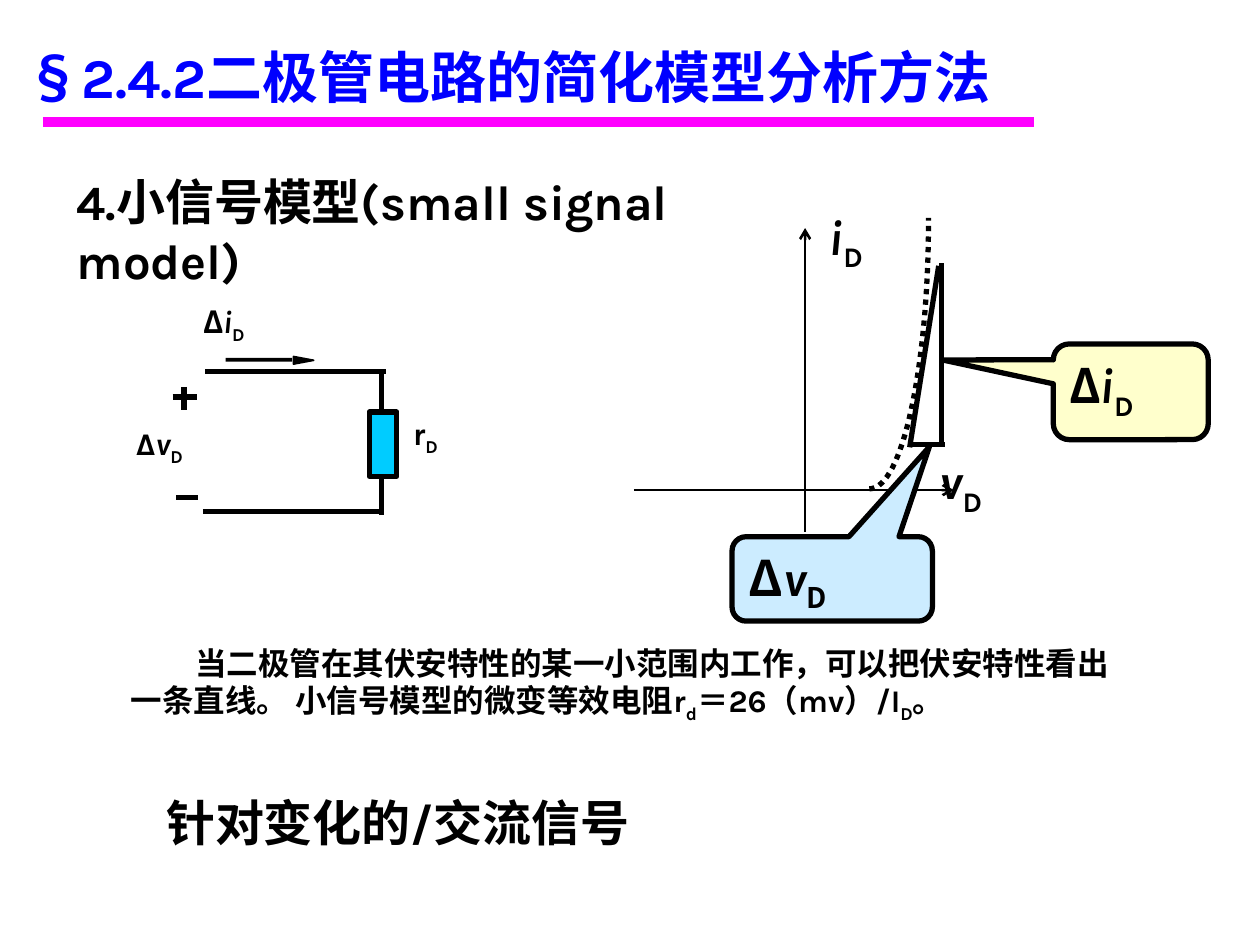
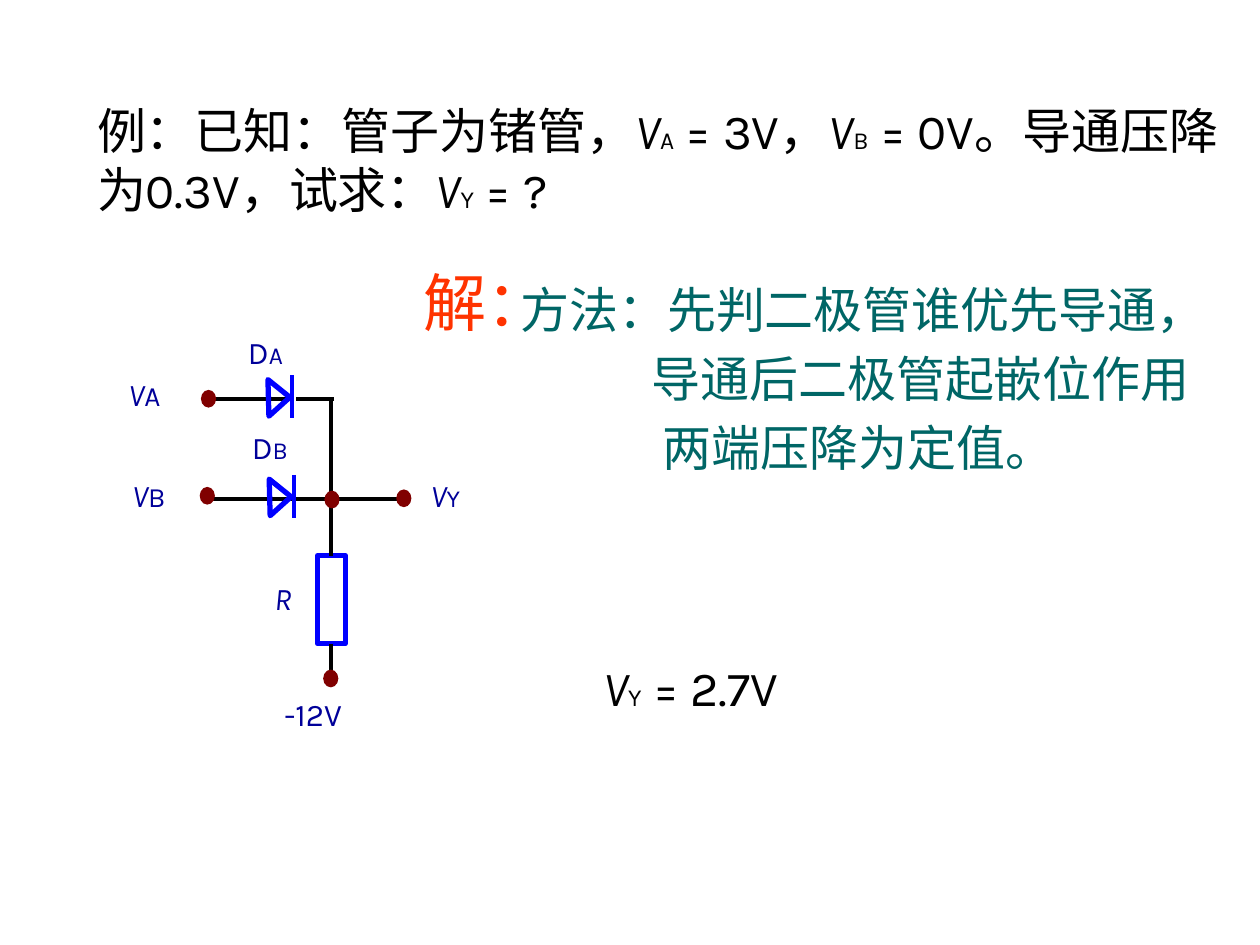
from lxml.etree import SubElement
from pptx import Presentation
from pptx.dml.color import RGBColor
from pptx.enum.dml import MSO_LINE_DASH_STYLE as Dash
from pptx.enum.shapes import MSO_CONNECTOR as Link, MSO_SHAPE as Kind
from pptx.enum.text import MSO_ANCHOR as Anchor, MSO_AUTO_SIZE as Auto, PP_ALIGN as Align
from pptx.oxml.ns import qn
from pptx.util import Inches, Pt

BLACK = RGBColor(0x00, 0x00, 0x00)
WHITE = RGBColor(0xFF, 0xFF, 0xFF)
BLUE = RGBColor(0x00, 0x00, 0xFF)
NAVY = RGBColor(0x00, 0x00, 0x99)
TEAL = RGBColor(0x00, 0x66, 0x66)
RED = RGBColor(0xFF, 0x33, 0x00)
PINK = RGBColor(0xFF, 0x00, 0xFF)
MAROON = RGBColor(0x80, 0x00, 0x00)
CYAN = RGBColor(0x00, 0xCC, 0xFF)
SKY = RGBColor(0xCC, 0xEC, 0xFF)
CREAM = RGBColor(0xFF, 0xFF, 0xCC)

LATIN, HAN, MONO = "Karla", "Noto Sans CJK SC", "Noto Sans Mono"
PLAIN = {"name": LATIN, "size": 28, "color": BLACK, "bold": False, "italic": False}
BOLD = PLAIN | {"bold": True}
SMALL = BOLD | {"size": 18}
TITLE = BOLD | {"size": 32, "color": BLUE}
METHOD = PLAIN | {"color": TEAL}
LABEL = PLAIN | {"size": 18, "color": NAVY}
SLANT = {"italic": True}
SUB = {"sub": True}
TINY = {"size": 14}


def box(*edges):
    return [Inches(n) for n in edges]


def add_run(para, text, form):
    run = para.add_run()
    run.text = text
    for key, value in form.items():
        if key == "color":
            run.font.color.rgb = value
        elif key == "size":
            run.font.size = Pt(value)
        elif key != "sub":
            setattr(run.font, key, value)
    props = run._r.get_or_add_rPr()
    SubElement(props, qn("a:ea")).set("typeface", HAN)
    if form.get("sub"):
        props.set("baseline", "-25000")


def write(shape, lines, base, anchor=Anchor.TOP):
    frame = shape.text_frame
    form = {"word_wrap": True, "auto_size": Auto.NONE, "vertical_anchor": anchor}
    for key, value in form.items():
        setattr(frame, key, value)
    for i, runs in enumerate(lines):
        para = frame.add_paragraph() if i else frame.paragraphs[0]
        para.alignment = Align.LEFT
        for text, style in runs:
            add_run(para, text, base | style)
    return frame


def place(shape, area):
    for key, value in zip(("left", "top", "width", "height"), box(*area)):
        setattr(shape, key, value)
    return shape


def note(slide, area, runs, base, anchor=Anchor.TOP):
    return write(slide.shapes.add_textbox(*box(*area)), [runs], base, anchor)


def label(slide, x, y, *runs):
    note(slide, (x, y, 0.94, 0.53), runs, LABEL, Anchor.MIDDLE)


def paint(shape, fill, color, width):
    shape.shadow.inherit = False
    if fill is None:
        shape.fill.background()
    else:
        shape.fill.solid()
        shape.fill.fore_color.rgb = fill
    if color is None:
        shape.line.fill.background()
    else:
        shape.line.color.rgb = color
        shape.line.width = Pt(width)
    return shape


def block(slide, kind, area, fill=None, color=None, width=3):
    return paint(slide.shapes.add_shape(kind, *box(*area)), fill, color, width)


def line(slide, x1, y1, x2, y2, width=3, color=BLACK, arrow=False):
    link = slide.shapes.add_connector(Link.STRAIGHT, *box(x1, y1, x2, y2))
    link.line.color.rgb = color
    link.line.width = Pt(width)
    if arrow:
        SubElement(link.line._get_or_add_ln(), qn("a:tailEnd")).set("type", "arrow")
    SubElement(link._element.spPr, qn("a:effectLst"))
    return link


def trace(slide, points, close, fill, width):
    spots = [tuple(box(*point)) for point in points]
    path = slide.shapes.build_freeform(*spots[0], scale=1.0)
    path.add_line_segments(spots[1:], close=close)
    return paint(path.convert_to_shape(), fill, BLACK, width)


def curve(slide, p0, p1, p2, p3, steps=32):
    points = []
    for i in range(steps + 1):
        t = i / steps
        u = 1 - t
        points.append([u**3 * a + 3 * u * u * t * b + 3 * u * t * t * c + t**3 * d
                       for a, b, c, d in zip(p0, p1, p2, p3)])
    trace(slide, points, False, None, 3).line.dash_style = Dash.ROUND_DOT


def callout(slide, area, tip, fill, runs):
    shape = block(slide, Kind.ROUNDED_RECTANGULAR_CALLOUT, area, fill, BLACK)
    for i, value in enumerate((*tip, 0.167)):
        shape.adjustments[i] = value
    write(shape, [runs], BOLD)


def diode(slide, x, y):
    cone = block(slide, Kind.ISOSCELES_TRIANGLE, (x, y, 0.29, 0.17), None, BLUE)
    cone.rotation = 88.4
    line(slide, x + 0.25, y - 0.09, x + 0.25, y + 0.25, 2.25, BLUE)


def plot(slide):
    line(slide, 5.03, 3.89, 7.57, 3.89, 1.5, arrow=True)
    line(slide, 6.39, 4.22, 6.39, 1.81, 1.5, arrow=True)
    note(slide, (7.36, 3.53, 0.87, 0.57), [("v", SLANT), ("D", SUB)], BOLD)
    note(slide, (6.48, 1.59, 0.6, 0.57), [("i", SLANT), ("D", SUB)], BOLD)
    curve(slide, (6.9, 3.88), (7.16, 3.88), (7.37, 2.92), (7.37, 1.73))
    for ends in ((7.22, 3.55, 7.45, 2.11), (7.22, 3.53, 7.5, 3.53),
                 (7.47, 2.09, 7.47, 3.55)):
        line(slide, *ends)
    callout(slide, (5.81, 4.26, 1.59, 0.67), (0.485, -1.565), SKY,
            [("Δ", {"name": HAN}), ("v", SLANT), ("D", SUB | {"name": HAN})])
    callout(slide, (8.36, 2.73, 1.23, 0.76), (-1.217, -0.333), CREAM,
            [("Δ", {"name": MONO}), ("i", SLANT), ("D", SUB)])


def model(slide):
    note(slide, (1.52, 2.35, 1.25, 0.5),
         [("Δ", {"name": MONO}), ("i", SLANT), ("D", SUB)], SMALL)
    note(slide, (0.98, 3.32, 1.61, 0.5), [("Δ", {}), ("v", SLANT), ("D", SUB)], SMALL)
    note(slide, (3.18, 3.24, 0.6, 0.5), [("r", {}), ("D", SUB)], SMALL)
    for ends in ((1.63, 2.95, 3.06, 2.95), (1.61, 4.06, 3.04, 4.06),
                 (3.03, 2.95, 3.03, 4.09), (1.37, 3.15, 1.56, 3.15),
                 (1.46, 3.07, 1.46, 3.25), (1.4, 3.95, 1.57, 3.95)):
        line(slide, *ends)
    block(slide, Kind.RECTANGLE, (2.93, 3.27, 0.22, 0.51), CYAN, BLACK)
    block(slide, Kind.RECTANGLE, (1.79, 2.84, 0.53, 0.03), BLACK)
    trace(slide, [(2.49, 2.86), (2.33, 2.83), (2.33, 2.89)], True, BLACK, 1)


def signal(deck):
    slide = deck.slides.add_slide(deck.slide_layouts[5])
    title = place(slide.shapes.title, (0, 0, 8.5, 1.21))
    write(title, [[(" §", {"name": HAN}), ("2.4.2", {}),
                   ("二极管电路的简化模型分析方法", {"name": HAN})]], TITLE, Anchor.MIDDLE)
    line(slide, 0.34, 0.97, 8.21, 0.97, 6, PINK)
    note(slide, (0.51, 1.31, 5.89, 1.03), [("4.小信号模型(small signal model)", {})], BOLD)
    plot(slide)
    model(slide)
    text = note(slide, (0.94, 5.06, 8.07, 1.3), [
        ("当二极管在其伏安特性的某一小范围内工作，可以把伏安特性看出一条直线。 "
         "小信号模型的微变等效电阻r", {}),
        ("d", SUB), ("＝26（mv）/I", {}), ("D", SUB), ("。", {})], SMALL)
    props = text.paragraphs[0]._p.get_or_add_pPr()
    props.set("indent", str(Inches(0.51)))
    note(slide, (1.22, 6.24, 5.89, 0.57), [("针对变化的/交流信号", {})], BOLD)


def circuit(slide):
    for ends in ((1.69, 3.17, 2.32, 3.17), (1.69, 3.96, 2.39, 3.96),
                 (2.35, 3.17, 2.65, 3.17), (2.63, 3.16, 2.63, 3.96),
                 (2.35, 3.96, 2.6, 3.96), (2.66, 3.96, 3.23, 3.96)):
        line(slide, *ends, 2.25)
    for spot in ((2.07, 3.07), (2.08, 3.86)):
        diode(slide, *spot)
    load = block(slide, Kind.RECTANGLE, (2.52, 4.41, 0.22, 0.7), WHITE, BLUE)
    line(slide, 2.63, 4, 2.63, 4.41, 2.25).end_connect(load, 0)
    line(slide, 2.63, 5.11, 2.63, 5.35, 2.25).begin_connect(load, 2)
    for x, y in ((1.59, 3.87), (2.58, 3.9), (1.6, 3.1), (3.15, 3.89), (2.57, 5.32)):
        block(slide, Kind.FLOWCHART_CONNECTOR, (x, y, 0.11, 0.13), MAROON, MAROON, 0.75)
    for x, y, name, style, tag, size in (
            (1.87, 2.53, "D", {}, "A", 14), (1.9, 3.28, "D", {}, "B", 14),
            (0.92, 2.86, "V", SLANT, "A", 16), (0.95, 3.66, "V", SLANT, "B", 16),
            (3.32, 3.66, "V", SLANT, "Y", 14)):
        label(slide, x, y, (name, style), (tag, {"size": size}))
    label(slide, 2.08, 4.48, ("R", SLANT))
    label(slide, 2.16, 5.4, ("-12V", {}))


def sample(deck):
    slide = deck.slides.add_slide(deck.slide_layouts[1])
    title = place(slide.shapes.title, (0.67, 0.75, 9.16, 1.03))
    write(title, [[("例：已知：管子为锗管，", {}), ("V", SLANT), ("A", TINY),
                   (" = 3V，", {}), ("V", SLANT), ("B", TINY),
                   (" = 0V。导通压降为0.3V，试求：", {}),
                   ("V", SLANT), ("Y", TINY), (" = ?", {})]], PLAIN)
    body = place(slide.placeholders[1], (4.03, 2.17, 6.16, 1.69))
    steps = ("方法：先判二极管谁优先导通，", "导通后二极管起嵌位作用", "两端压降为定值。")
    frame = write(body, [[(step, {})] for step in steps], METHOD)
    for para, left in zip(frame.paragraphs, (0, 1.04, 1.13)):
        para.space_before = Pt(5.6)
        props = para._p.get_or_add_pPr()
        props.set("marL", str(Inches(left)))
        props.set("indent", "0")
        SubElement(props, qn("a:buNone"))
    note(slide, (4.69, 5.17, 4.56, 0.57),
         [("V", SLANT), ("Y", TINY), (" = 2.7V", {})], PLAIN)
    note(slide, (3.26, 2.04, 1.5, 0.7), [("解：", {"size": 36, "color": RED})], PLAIN)
    circuit(slide)


def main():
    deck = Presentation()
    deck.slide_width, deck.slide_height = box(10, 7.5)
    signal(deck)
    sample(deck)
    deck.save("out.pptx")


if __name__ == "__main__":
    main()
